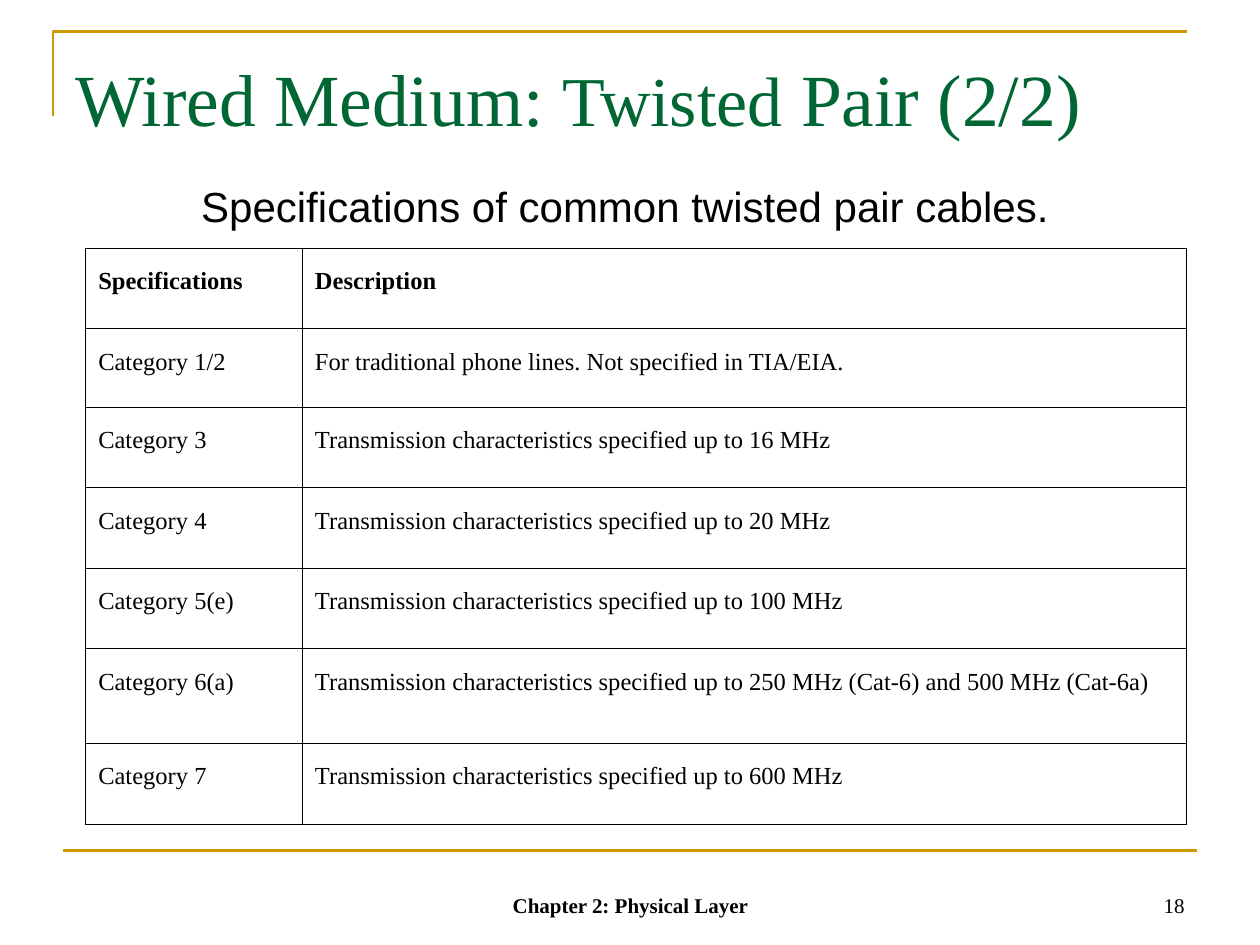
import pptx
import pptx.util
import pptx.dml.color
import pptx.enum.shapes
import pptx.enum.text
import pptx.oxml.ns
import lxml.etree

Inches = pptx.util.Inches
Pt = pptx.util.Pt
ALIGN = pptx.enum.text.PP_ALIGN
ANCHOR = pptx.enum.text.MSO_ANCHOR
SERIF = "Times New Roman"
GOLD = "CC9900"
GREEN = "006633"
BLACK = "000000"


def color(value):
    return pptx.dml.color.RGBColor.from_string(value)


def add_text(page, place, spans, align, anchor, font_name, ink, bold=False):
    box = page.shapes.add_textbox(*[Inches(length) for length in place])
    frame = box.text_frame
    frame.word_wrap = True
    frame.vertical_anchor = anchor
    para = frame.paragraphs[0]
    para.alignment = align
    para.font.name = font_name
    para.font.bold = bold
    para.font.color.rgb = color(ink)
    for text, size in spans:
        span = para.add_run()
        span.text = text
        span.font.size = Pt(size)
    return box


deck = pptx.Presentation()
deck.slide_width = Inches(10)
deck.slide_height = Inches(7.5)
page = deck.slides.add_slide(deck.slide_layouts[6])

outline = page.shapes.build_freeform(Inches(0.42), Inches(0.92))
outline.add_line_segments(
    [(Inches(0.42), Inches(0.25)), (Inches(9.42), Inches(0.25))], close=False
)
corner = outline.convert_to_shape()
corner.shadow.inherit = False
corner.fill.background()

footer_rule = page.shapes.add_connector(
    pptx.enum.shapes.MSO_CONNECTOR.STRAIGHT,
    Inches(0.5), Inches(6.75), Inches(9.5), Inches(6.75),
)
lxml.etree.SubElement(
    footer_rule._element.spPr, pptx.oxml.ns.qn("a:effectLst")
)
for rule in (corner, footer_rule):
    rule.line.color.rgb = color(GOLD)
    rule.line.width = Pt(1.5)

title = add_text(
    page, (0.5, 0.3, 9, 1.25),
    [("Wired Medium: ", 42), ("Twisted", 40), (" Pair (2/2)", 42)],
    ALIGN.LEFT, ANCHOR.TOP, SERIF, GREEN,
)
title.text_frame.margin_top = Inches(0.12)

rows = [
    ("Specifications", "Description", 0.64),
    ("Category 1/2", "For traditional phone lines. Not specified in TIA/EIA.", 0.62),
    ("Category 3", "Transmission characteristics specified up to 16 MHz", 0.64),
    ("Category 4", "Transmission characteristics specified up to 20 MHz", 0.64),
    ("Category 5(e)", "Transmission characteristics specified up to 100 MHz", 0.64),
    (
        "Category 6(a)",
        "Transmission characteristics specified up to 250 MHz (Cat-6) and 500 MHz (Cat-6a)",
        0.75,
    ),
    ("Category 7", "Transmission characteristics specified up to 600 MHz", 0.64),
]
table = page.shapes.add_table(
    len(rows), 2, Inches(0.68), Inches(1.97), Inches(8.74), Inches(4.56)
).table
table.first_row = False
table.horz_banding = False
table.columns[0].width = Inches(1.72)
table.columns[1].width = Inches(7.02)

for row_index, (*texts, height) in enumerate(rows):
    table.rows[row_index].height = Inches(height)
    for column_index, text in enumerate(texts):
        cell = table.cell(row_index, column_index)
        para = cell.text_frame.paragraphs[0]
        para.text = text
        para.alignment = ALIGN.JUSTIFY
        para.line_spacing = 1.5
        para.font.name = SERIF
        para.font.size = Pt(14)
        para.font.bold = row_index == 0
        para.font.color.rgb = color(BLACK)
        properties = cell._tc.get_or_add_tcPr()
        for side in ("a:lnL", "a:lnR", "a:lnT", "a:lnB"):
            border = lxml.etree.SubElement(
                properties, pptx.oxml.ns.qn(side), w=str(Pt(0.45))
            )
            fill = lxml.etree.SubElement(border, pptx.oxml.ns.qn("a:solidFill"))
            lxml.etree.SubElement(fill, pptx.oxml.ns.qn("a:srgbClr"), val=BLACK)
        cell.fill.background()

add_text(
    page, (0.46, 1.36, 9, 0.55),
    [("Specifications of common twisted pair cables.", 24)],
    ALIGN.CENTER, ANCHOR.MIDDLE, "Arial", BLACK,
)
add_text(
    page, (7.17, 6.83, 2.33, 0.5), [("18", 12)],
    ALIGN.RIGHT, ANCHOR.BOTTOM, SERIF, BLACK,
)
add_text(
    page, (3.42, 6.83, 3.17, 0.5), [("Chapter 2: Physical Layer", 12)],
    ALIGN.CENTER, ANCHOR.BOTTOM, SERIF, BLACK, bold=True,
)

deck.save("out.pptx")
